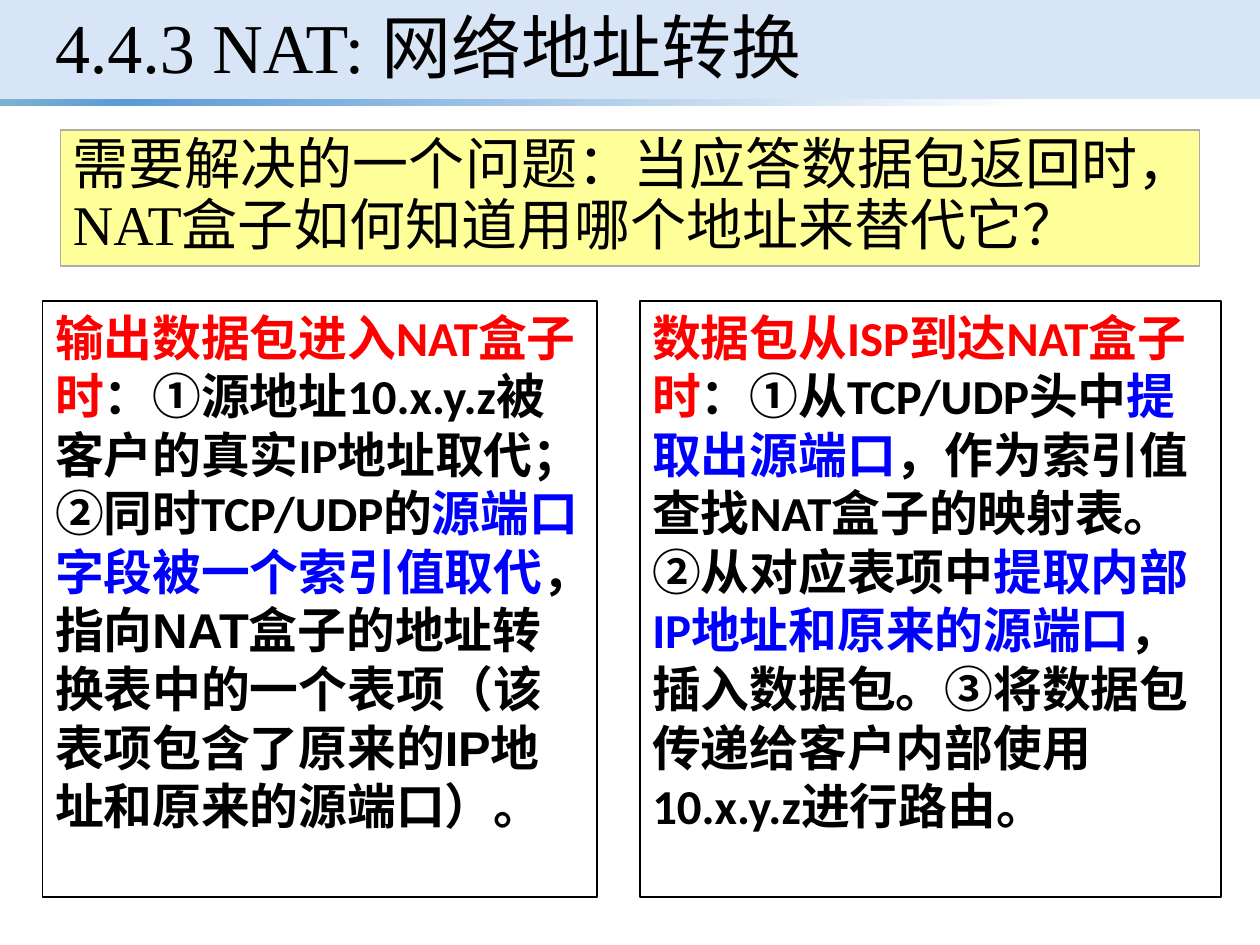
"""Build the slide on how a NAT box translates network addresses."""
from lxml.etree import SubElement
from pptx import Presentation
from pptx.dml.color import RGBColor
from pptx.enum.shapes import MSO_SHAPE as Shape
from pptx.enum.text import MSO_ANCHOR as Anchor, PP_ALIGN as Align
from pptx.oxml.ns import qn
from pptx.util import Cm, Pt

BLACK = RGBColor(0x00, 0x00, 0x00)
WHITE = RGBColor(0xFF, 0xFF, 0xFF)
RED = RGBColor(0xFF, 0x00, 0x00)
BLUE = RGBColor(0x00, 0x00, 0xFF)
YELLOW = RGBColor(0xFF, 0xFF, 0x99)
GREY = RGBColor(0xAF, 0xAB, 0xAB)
BAND = RGBColor(0xD8, 0xE5, 0xF7)
TEAL = RGBColor(0x7E, 0xB3, 0xD0)
STEEL = RGBColor(0x5B, 0x9B, 0xD5)

TITLE = "4.4.3 NAT: 网络地址转换"
QUESTION = "需要解决的一个问题：当应答数据包返回时，NAT盒子如何知道用哪个地址来替代它？"
OUTGOING = [
    ("输出数据包进入NAT盒子时", RED, "Calibri"),
    ("：①源地址10.x.y.z被客户的真实IP地址取代；②同时TCP/UDP的", BLACK, "Calibri"),
    ("源端口字段被一个索引值取代", BLUE, "Calibri"),
    ("，", BLACK, "Calibri"),
    ("指向NAT盒子的地址转换表中的一个表项（该表项包含了原来的IP地址和原来的源端口）。", BLACK, "Arial"),
]
INCOMING = [
    ("数据包从ISP到达NAT盒子时", RED, "Calibri"),
    ("：①从TCP/UDP头中", BLACK, "Calibri"),
    ("提取出源端口", BLUE, "Calibri"),
    ("，作为索引值查找NAT盒子的映射表。②从对应表项中", BLACK, "Calibri"),
    ("提取内部IP地址和原来的源端口", BLUE, "Calibri"),
    ("，插入数据包。③将数据包传递给客户内部使用10.x.y.z进行路由。", BLACK, "Calibri"),
]
PANELS = [(0.86, 11.18, OUTGOING), (12.9, 11.71, INCOMING)]
PANEL_TOP, PANEL_HEIGHT = 6.07, 12.01
RULE_STOPS = [(0, TEAL), (10, STEEL), (82, WHITE), (96, WHITE)]
SLIDE_WIDTH, BAND_HEIGHT, RULE_HEIGHT = 25.4, 2.0, 0.13


def add_box(slide, left, top, width, height, fill=None, line=None):
    box = slide.shapes.add_shape(Shape.RECTANGLE, Cm(left), Cm(top), Cm(width), Cm(height))
    box.shadow.inherit = False
    if fill is not None:
        box.fill.solid()
        box.fill.fore_color.rgb = fill
    if line is None:
        box.line.fill.background()
    else:
        box.line.color.rgb = line
        box.line.width = Pt(1)
    return box


def write(box, runs, size, bold=False, anchor=Anchor.TOP):
    frame = box.text_frame
    frame.word_wrap = True
    frame.vertical_anchor = anchor
    paragraph = frame.paragraphs[0]
    paragraph.alignment = Align.LEFT
    paragraph.font.size = Pt(size)
    paragraph.font.bold = bold
    for text, color, font in runs:
        run = paragraph.add_run()
        run.text = text
        run.font.color.rgb = color
        run.font.name = font
    return paragraph


def fade(box, stops):
    box.fill.gradient()
    gradient = box._element.spPr.find(qn("a:gradFill"))
    for child in list(gradient):
        gradient.remove(child)
    stop_list = SubElement(gradient, qn("a:gsLst"))
    for percent, color in stops:
        stop = SubElement(stop_list, qn("a:gs"), pos=str(percent * 1000))
        SubElement(stop, qn("a:srgbClr"), val=str(color))
    SubElement(gradient, qn("a:lin"), ang="2700000", scaled="0")


def main():
    deck = Presentation()
    deck.slide_width, deck.slide_height = Cm(SLIDE_WIDTH), Cm(19.05)
    slide = deck.slides.add_slide(deck.slide_layouts[6])

    add_box(slide, 0, 0, SLIDE_WIDTH, BAND_HEIGHT, BAND)
    fade(add_box(slide, 0, BAND_HEIGHT, SLIDE_WIDTH, RULE_HEIGHT), RULE_STOPS)

    question = add_box(slide, 1.22, 2.62, 22.96, 2.74, YELLOW, GREY)
    paragraph = write(question, [(QUESTION, BLACK, "Times New Roman")], 32)
    paragraph.line_spacing = 0.9
    paragraph.space_before = Pt(10)

    for left, width, runs in PANELS:
        panel = add_box(slide, left, PANEL_TOP, width, PANEL_HEIGHT, WHITE, BLACK)
        write(panel, runs, 27.9, bold=True)

    title = slide.shapes.add_textbox(Cm(0.86), Cm(0.03), Cm(23.75), Cm(2))
    paragraph = write(title, [(TITLE, BLACK, "Times New Roman")], 40, anchor=Anchor.MIDDLE)
    paragraph.line_spacing = 0.9

    deck.save("out.pptx")


if __name__ == "__main__":
    main()
